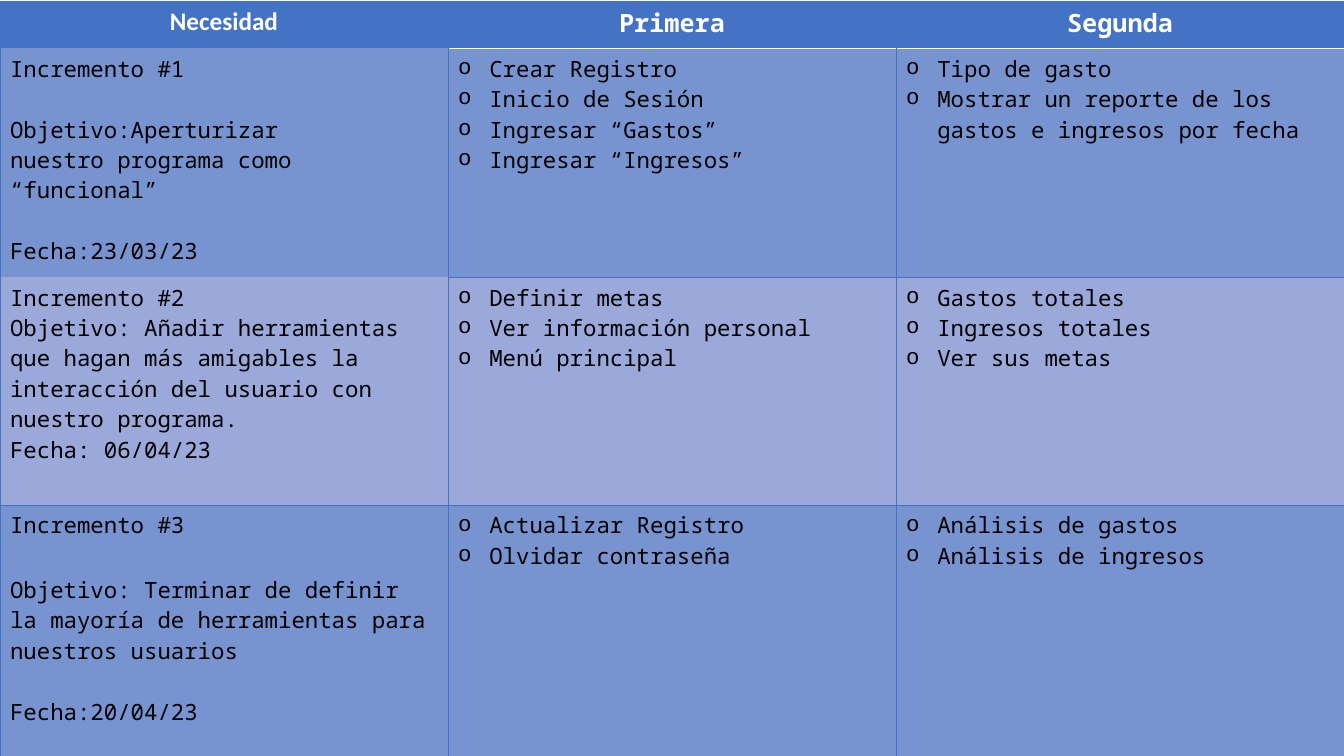
from lxml.etree import SubElement
from pptx import Presentation
from pptx.dml.color import RGBColor
from pptx.enum.text import PP_ALIGN
from pptx.oxml import parse_xml
from pptx.oxml.ns import nsdecls, qn
from pptx.util import Inches, Pt

BLUE = RGBColor(0x44, 0x72, 0xC4)
DARK_BAND = RGBColor(0x78, 0x94, 0xD0)
LIGHT_BAND = RGBColor(0x9A, 0xA9, 0xD9)
WHITE = RGBColor(0xFF, 0xFF, 0xFF)
BLACK = RGBColor(0, 0, 0)
MONO = "Noto Sans Mono"
PLAIN_TABLE_STYLE = "{2D5ABB26-0587-4C30-8999-92F81FD0307C}"
BULLET_INDENT = Inches(0.31)

HEADINGS = [("Necesidad", "Calibri"), ("Primera", MONO), ("Segunda", MONO)]
ROW_HEIGHTS = [0.47, 2.27, 2.26, 2.49]

# Each increment: need as (text, points of space before), first list, second list
INCREMENTS = [
    ([("Incremento #1", 0),
      ("Objetivo:Aperturizar ", 21.8),
      ("nuestro programa como “funcional”", 0),
      ("Fecha:23/03/23", 21.8)],
     ["Crear Registro", "Inicio de Sesión", "Ingresar “Gastos” ", "Ingresar “Ingresos” "],
     ["Tipo de gasto", "Mostrar un reporte de los gastos e ingresos por fecha"]),
    ([("Incremento #2", 0),
      ("Objetivo: Añadir herramientas que hagan más amigables "
       "la interacción del usuario con nuestro programa.", 0),
      ("Fecha: 06/04/23", 0)],
     ["Definir metas ", "Ver información personal", "Menú principal"],
     ["Gastos totales", "Ingresos totales", "Ver sus metas"]),
    ([("Incremento #3", 0),
      ("Objetivo: Terminar de definir la mayoría de herramientas para "
       "nuestros usuarios", 24.5),
      ("Fecha:20/04/23", 21.8)],
     ["Actualizar Registro ", "Olvidar contraseña "],
     ["Análisis de gastos", "Análisis de ingresos"]),
]


def add_text(paragraph, text, size, color, font=MONO, bold=False):
    run = paragraph.add_run()
    run.text = text
    run.font.name = font
    run.font.size = Pt(size)
    run.font.bold = bold
    run.font.color.rgb = color


def next_paragraph(cell, index):
    frame = cell.text_frame
    return frame.add_paragraph() if index else frame.paragraphs[0]


def add_bullet(paragraph):
    properties = paragraph._p.get_or_add_pPr()
    properties.set("marL", str(BULLET_INDENT))
    properties.set("indent", str(-BULLET_INDENT))
    SubElement(properties, qn("a:buFont"), typeface="Courier New")
    SubElement(properties, qn("a:buChar"), char="o")


def paint_cell(cell, fill, borders):
    """Fill the cell; borders maps L, R, T, B (in that order) to (colour, points)."""
    cell.fill.solid()
    cell.fill.fore_color.rgb = fill
    properties = cell._tc.get_or_add_tcPr()
    for position, (side, (color, width)) in enumerate(borders.items()):
        properties.insert(position, parse_xml(
            f'<a:ln{side} {nsdecls("a")} w="{Pt(width)}"><a:solidFill>'
            f'<a:srgbClr val="{color}"/></a:solidFill></a:ln{side}>'))


def fill_header(table):
    for column, (heading, font) in enumerate(HEADINGS):
        cell = table.cell(0, column)
        paint_cell(cell, BLUE, {"B": (WHITE, 1)} if column else {})
        paragraph = next_paragraph(cell, 0)
        paragraph.alignment = PP_ALIGN.CENTER
        add_text(paragraph, heading, 18, WHITE, font, bold=True)


def fill_increment(table, row, need, *lists):
    fill = DARK_BAND if row % 2 else LIGHT_BAND
    line = (BLUE, 0.5)
    for column in range(len(HEADINGS)):
        sides = "LRB" if column or row > 1 else "LR"
        if column and row > 1:
            sides = "LRTB"
        paint_cell(table.cell(row, column), fill, {side: line for side in sides})
    for index, (text, gap) in enumerate(need):
        paragraph = next_paragraph(table.cell(row, 0), index)
        paragraph.space_before = Pt(gap)
        add_text(paragraph, text, 16, BLACK)
    for column, items in enumerate(lists, start=1):
        for index, item in enumerate(items):
            paragraph = next_paragraph(table.cell(row, column), index)
            add_bullet(paragraph)
            add_text(paragraph, item, 16, BLACK)


def add_increment_table(slide, left, top, width, height):
    frame = slide.shapes.add_table(len(ROW_HEIGHTS), len(HEADINGS), left, top, width, height)
    table = frame.table
    table._tbl.tblPr.find(qn("a:tableStyleId")).text = PLAIN_TABLE_STYLE
    for row, row_height in zip(table.rows, ROW_HEIGHTS):
        row.height = Inches(row_height)
    fill_header(table)
    for row, increment in enumerate(INCREMENTS, start=1):
        fill_increment(table, row, *increment)


def main():
    deck = Presentation()
    deck.slide_width, deck.slide_height = Inches(13.33), Inches(7.5)
    slide = deck.slides.add_slide(deck.slide_layouts[6])
    add_increment_table(slide, 0, Inches(0.01), deck.slide_width, Inches(sum(ROW_HEIGHTS)))
    deck.save("out.pptx")


if __name__ == "__main__":
    main()
